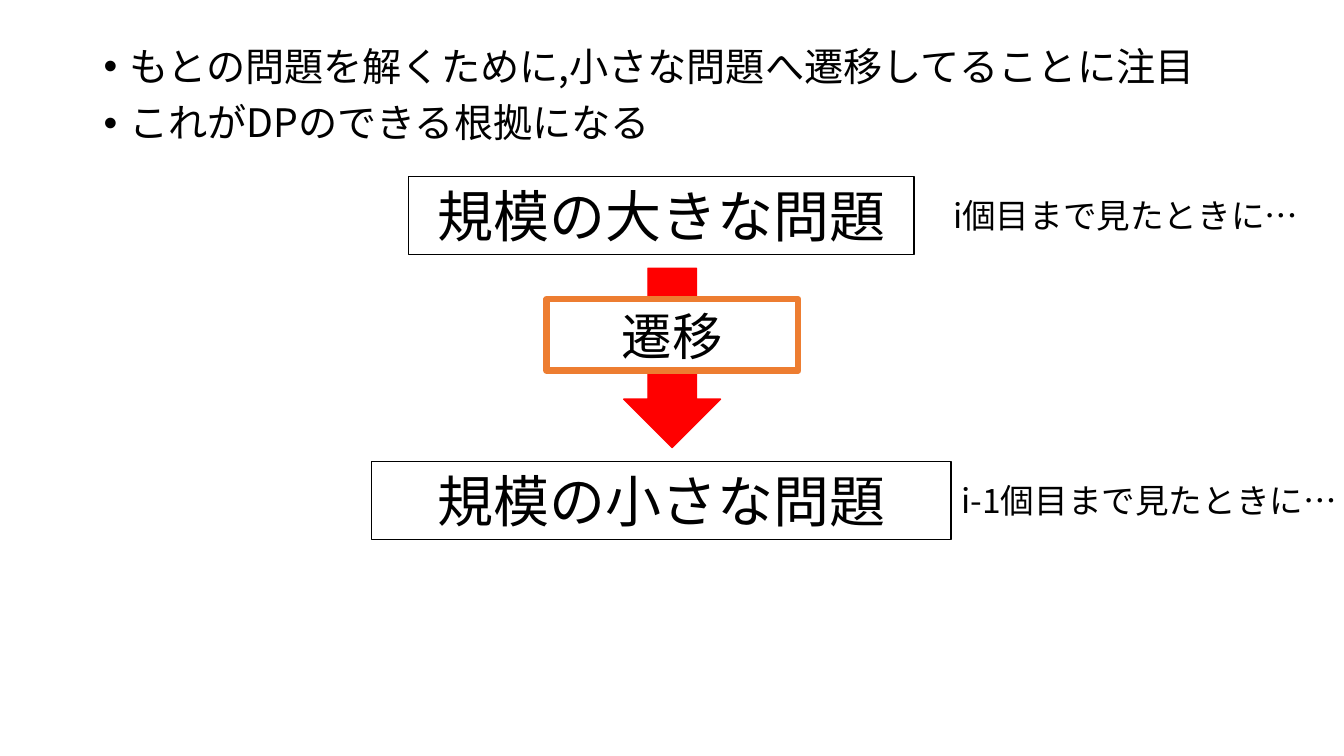
from lxml import etree
from pptx import Presentation
from pptx.dml.color import RGBColor
from pptx.enum.shapes import MSO_SHAPE
from pptx.enum.text import MSO_ANCHOR, MSO_AUTO_SIZE, PP_ALIGN
from pptx.oxml.ns import qn
from pptx.util import Cm, Pt

RECTANGLE = MSO_SHAPE.RECTANGLE
DOWN_ARROW = MSO_SHAPE.DOWN_ARROW
TOP = MSO_ANCHOR.TOP
MIDDLE = MSO_ANCHOR.MIDDLE
NO_AUTOFIT = MSO_AUTO_SIZE.NONE
LEFT = PP_ALIGN.LEFT
CENTER = PP_ALIGN.CENTER

BLACK = RGBColor(0x00, 0x00, 0x00)
WHITE = RGBColor(0xFF, 0xFF, 0xFF)
RED = RGBColor(0xFF, 0x00, 0x00)
ORANGE = RGBColor(0xED, 0x7D, 0x31)
FONT = "Noto Sans CJK JP"


class TransitionSlide:
    """Holds the text style and the slide, and adds each kind of element."""

    def __init__(self, presentation):
        """Add a slide with a body placeholder and no title."""
        self.slide = presentation.slides.add_slide(presentation.slide_layouts[1])
        title = self.slide.shapes.title
        title.element.getparent().remove(title.element)

    def add_text(self, paragraph, text, size):
        """Add one run in the slide's font to a paragraph."""
        run = paragraph.add_run()
        run.text = text
        run.font.name = FONT
        run.font.size = Pt(size)
        run.font.color.rgb = BLACK
        properties = run._r.get_or_add_rPr()
        etree.SubElement(properties, qn("a:ea")).set("typeface", FONT)

    def prepare(self, shape, anchor):
        """Set wrapping and anchoring, and return the text frame."""
        frame = shape.text_frame
        frame.word_wrap = True
        frame.auto_size = NO_AUTOFIT
        frame.vertical_anchor = anchor
        return frame

    def bullets(self, left, top, width, height, lines, size):
        """Place the body placeholder and fill it with bulleted lines."""
        body = self.slide.placeholders[1]
        body.left, body.top = Cm(left), Cm(top)
        body.width, body.height = Cm(width), Cm(height)
        frame = self.prepare(body, TOP)
        for index, line in enumerate(lines):
            paragraph = frame.add_paragraph() if index else frame.paragraphs[0]
            properties = paragraph._p.get_or_add_pPr()
            properties.set("marL", str(Cm(0.64)))
            properties.set("indent", str(Cm(-0.64)))
            etree.SubElement(properties, qn("a:buFont")).set("typeface", "Arial")
            etree.SubElement(properties, qn("a:buChar")).set("char", "•")
            paragraph.alignment = LEFT
            paragraph.line_spacing = 0.9
            paragraph.space_before = Pt(10 if index else 0)
            self.add_text(paragraph, line, size)

    def shape(self, kind, left, top, width, height, fill, line, line_width=1):
        """Add a filled and outlined preset shape."""
        shape = self.slide.shapes.add_shape(
            kind, Cm(left), Cm(top), Cm(width), Cm(height))
        shape.shadow.inherit = False
        shape.fill.solid()
        shape.fill.fore_color.rgb = fill
        shape.line.color.rgb = line
        shape.line.width = Pt(line_width)
        return shape

    def box(self, left, top, width, height, text, size, line, line_width=1):
        """Add a white box with centred text."""
        box = self.shape(RECTANGLE, left, top, width, height, WHITE, line, line_width)
        paragraph = self.prepare(box, MIDDLE).paragraphs[0]
        paragraph.alignment = CENTER
        self.add_text(paragraph, text, size)

    def note(self, left, top, width, height, text, size):
        """Add a plain text box beside a problem."""
        note = self.slide.shapes.add_textbox(
            Cm(left), Cm(top), Cm(width), Cm(height))
        self.add_text(self.prepare(note, TOP).paragraphs[0], text, size)


def main():
    """Build the slide and save it."""
    presentation = Presentation()
    presentation.slide_width = Cm(33.87)
    presentation.slide_height = Cm(19.05)
    slide = TransitionSlide(presentation)
    slide.shape(DOWN_ARROW, 15.72, 6.76, 2.44, 4.52, RED, RED)
    slide.bullets(2.36, 1.07, 29.21, 3.02, [
        "もとの問題を解くために,小さな問題へ遷移してることに注目",
        "これがDPのできる根拠になる",
    ], 28)
    slide.box(10.29, 4.45, 12.75, 1.96, "規模の大きな問題", 40, BLACK)
    slide.box(9.37, 11.63, 14.6, 1.96, "規模の小さな問題", 40, BLACK)
    slide.box(13.77, 7.54, 6.35, 1.8, "遷移", 36, ORANGE, 4.5)
    slide.note(23.77, 4.78, 9.32, 1.27, "i個目まで見たときに…", 24)
    slide.note(23.98, 11.96, 10.29, 1.27, "i-1個目まで見たときに…", 24)
    presentation.save("out.pptx")


if __name__ == "__main__":
    main()
